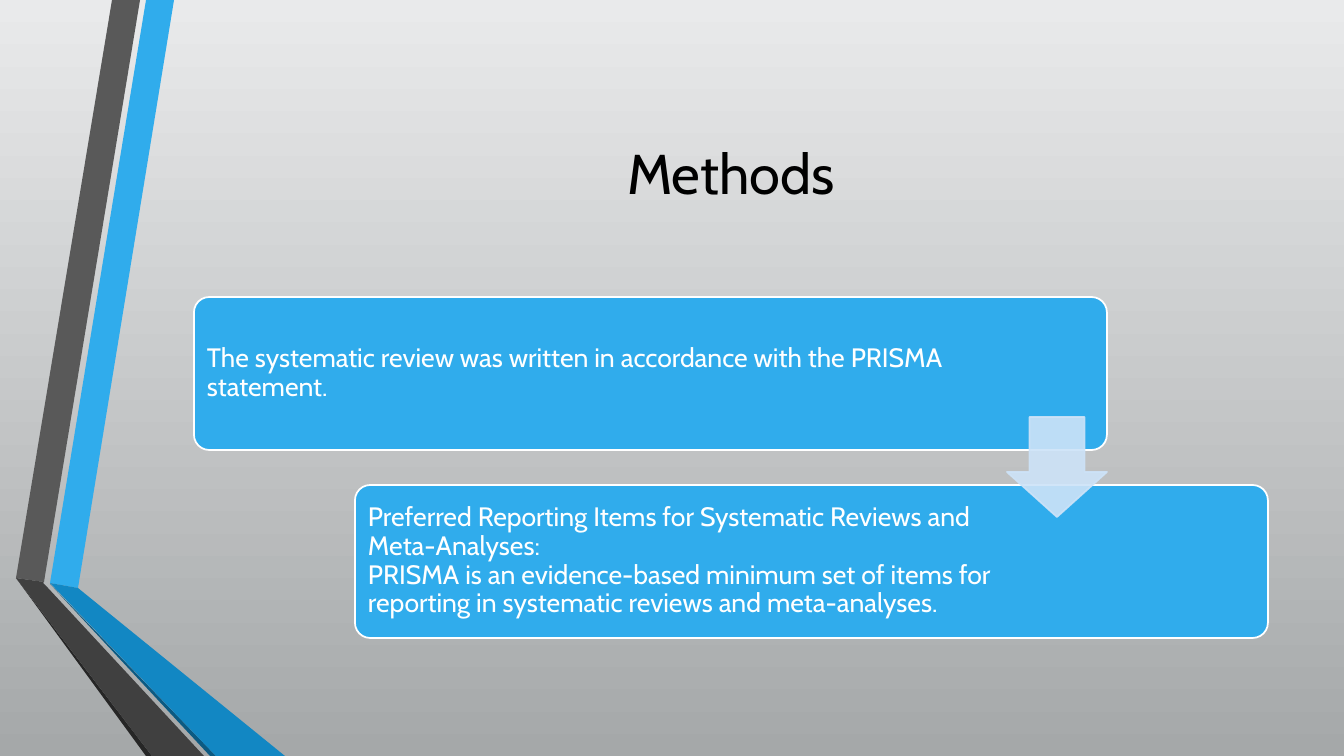
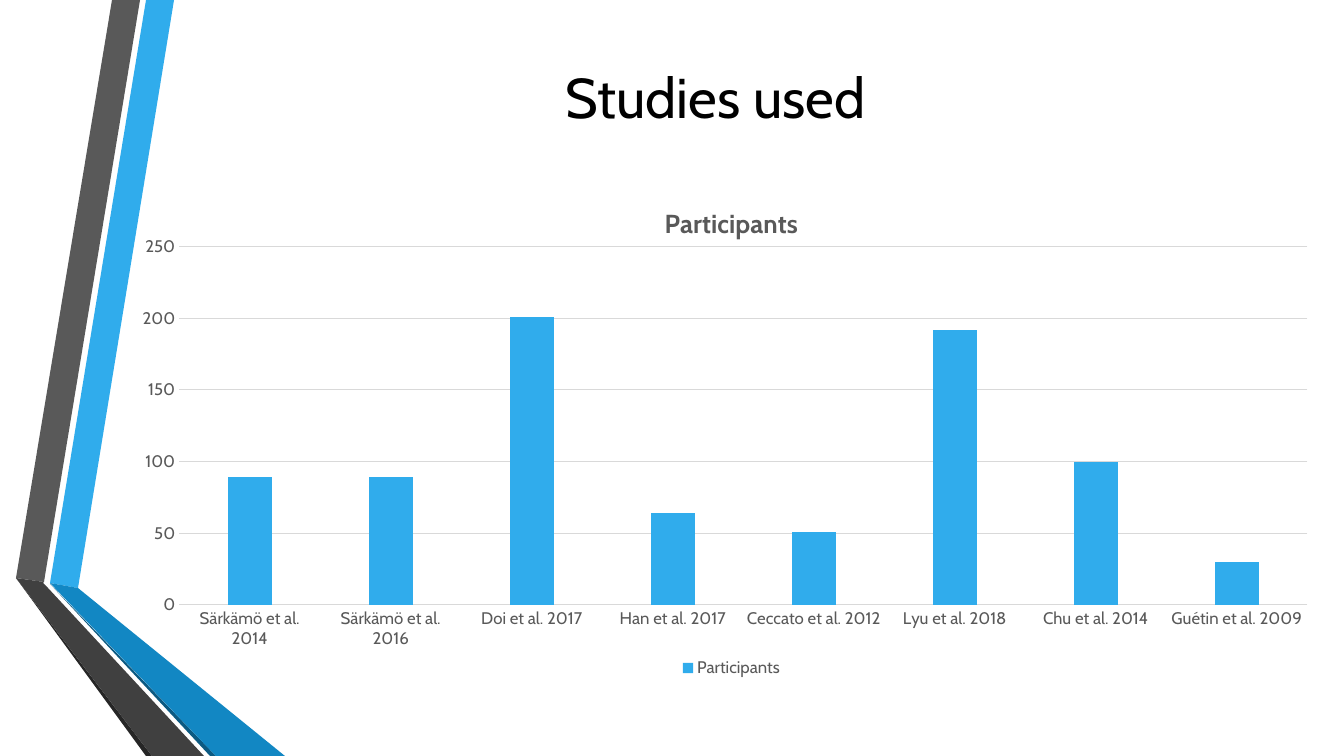
"""Build two slides on a systematic review: its methods and the studies used."""
from lxml import etree
from pptx import Presentation
from pptx.chart.data import CategoryChartData
from pptx.dml.color import RGBColor
from pptx.enum.chart import XL_CHART_TYPE, XL_LEGEND_POSITION, XL_TICK_MARK
from pptx.enum.shapes import MSO_SHAPE
from pptx.enum.text import MSO_ANCHOR, PP_ALIGN
from pptx.oxml import parse_xml
from pptx.oxml.ns import nsdecls, qn
from pptx.util import Emu, Pt

ROUNDED, DOWN_ARROW = MSO_SHAPE.ROUNDED_RECTANGLE, MSO_SHAPE.DOWN_ARROW
MIDDLE, CENTER, LEFT = MSO_ANCHOR.MIDDLE, PP_ALIGN.CENTER, PP_ALIGN.LEFT
COLUMNS, BOTTOM = XL_CHART_TYPE.COLUMN_CLUSTERED, XL_LEGEND_POSITION.BOTTOM
NO_TICKS = XL_TICK_MARK.NONE

PIXEL = 914400 / 100.8
FONT = "Cabin"
COLORS = {name: RGBColor.from_string(value) for name, value in {
    "black": "000000", "white": "FFFFFF", "blue": "30ACEC", "mid_blue": "1287C3",
    "navy": "0C5A82", "gray": "595959", "charcoal": "404040", "dark": "262626",
    "pale": "CDE3F8", "rule": "D9D9D9", "sky": "E9EAEB", "ground": "A5A8A9",
}.items()}


def px(*lengths):
    return [Emu(round(length * PIXEL)) for length in lengths]


def write(frame, text, size, color, align):
    frame.text = text
    frame.word_wrap = True
    frame.vertical_anchor = MIDDLE
    for paragraph in frame.paragraphs:
        paragraph.alignment = align
        for run in paragraph.runs:
            run.font.name = FONT
            run.font.size = Pt(size)
            run.font.color.rgb = COLORS[color]


prs = Presentation()
prs.slide_width, prs.slide_height = px(1344, 756)

slides = []
for heading, box in [("Methods", (194, 76, 1074, 193)), ("Studies used", (163, 0, 1105, 193))]:
    slide = prs.slides.add_slide(prs.slide_layouts[5])
    title = slide.shapes.title
    title.left, title.top, title.width, title.height = px(*box)
    write(title.text_frame, heading, 40, "black", CENTER)
    slides.append(slide)
methods, studies = slides

ribbons = [
    ("blue", [(50, 583), (78, 588), (174, 0), (146, 0)]),
    ("gray", [(140, 0), (112, 0), (16, 578), (44, 582)]),
    ("dark", [(16, 578), (146, 756), (152, 756)]),
    ("navy", [(50, 584), (210, 756), (216, 756)]),
    ("mid_blue", [(50, 583), (216, 756), (285, 756), (78, 588)]),
    ("charcoal", [(204, 756), (48, 588), (43, 583), (44, 582), (16, 578), (152, 756)]),
]
for ribbon_id, (color, corners) in enumerate(ribbons, start=20):
    outline = methods.shapes.build_freeform(*corners[0], scale=PIXEL)
    outline.add_line_segments(corners[1:], close=True)
    ribbon = outline.convert_to_shape()
    ribbon.shadow.inherit = False
    ribbon.fill.solid()
    ribbon.fill.fore_color.rgb = COLORS[color]
    ribbon.line.fill.background()
    ribbon.element.xpath(".//p:cNvPr")[0].set("id", str(ribbon_id))
    prs.slide_master.shapes.element.append(ribbon.element)

backdrop = methods.background.fill
backdrop.gradient()
backdrop.gradient_angle = 270
for stop, color, position in zip(backdrop.gradient_stops, ("sky", "ground"), (0, 1)):
    stop.color.rgb = COLORS[color]
    stop.position = position

steps = [
    (194, 297, 754, "The systematic review was written in accordance with the PRISMA statement."),
    (355, 485, 643, "Preferred Reporting Items for Systematic Reviews and Meta-Analyses:\v"
     "PRISMA is an evidence-based minimum set of items for reporting in systematic reviews "
     "and meta-analyses."),
]
for left, top, text_width, statement in steps:
    card = methods.shapes.add_shape(ROUNDED, *px(left, top, 913, 153))
    card.adjustments[0] = 0.1
    card.shadow.inherit = False
    card.fill.solid()
    card.fill.fore_color.rgb = COLORS["blue"]
    card.line.color.rgb = COLORS["white"]
    card.line.width = Pt(1.25)
    frame = methods.shapes.add_textbox(*px(left + 5, top + 4, text_width, 144)).text_frame
    write(frame, statement, 19, "white", LEFT)
    frame.paragraphs[0].line_spacing = 0.9
    frame.margin_left, frame.margin_top, frame.margin_right, frame.margin_bottom = px(8, 8, 8, 8)

arrow = methods.shapes.add_shape(DOWN_ARROW, *px(1007, 417, 100, 100))
arrow.adjustments[0], arrow.adjustments[1] = 0.55, 0.45
arrow.shadow.inherit = False
arrow.fill.solid()
arrow.fill.fore_color.rgb = COLORS["pale"]
arrow.line.color.rgb = COLORS["pale"]
arrow.line.width = Pt(1.25)
for tint in arrow.element.xpath("./p:spPr//a:srgbClr"):
    etree.SubElement(tint, qn("a:alpha")).set("val", "90000")

participants = {
    "Särkämö et al. 2014": 89, "Särkämö et al. 2016": 89, "Doi et al. 2017": 201,
    "Han et al. 2017": 64, "Ceccato et al. 2012": 51, "Lyu et al. 2018": 192,
    "Chu et al. 2014": 100, "Guétin et al. 2009": 30,
}
data = CategoryChartData()
data.categories = list(participants)
data.add_series("Participants", list(participants.values()))
chart = studies.shapes.add_chart(COLUMNS, *px(139, 185, 1185, 497), data).chart
chart.font.name = FONT
chart.font.size = Pt(12)
chart.font.color.rgb = COLORS["gray"]
chart.has_title = True
write(chart.chart_title.text_frame, "Participants", 18.6, "gray", CENTER)
chart.chart_title.include_in_layout = False
chart.has_legend = True
chart.legend.position = BOTTOM
chart.legend.include_in_layout = False

for axis in (chart.category_axis, chart.value_axis):
    axis.major_tick_mark = axis.minor_tick_mark = NO_TICKS
chart.value_axis.maximum_scale = 250
chart.value_axis.minimum_scale = 0
chart.value_axis.major_unit = 50
chart.value_axis.format.line.fill.background()
for rule in (chart.category_axis.format.line, chart.value_axis.major_gridlines.format.line):
    rule.color.rgb = COLORS["rule"]
    rule.width = Pt(0.75)

plot = chart.plots[0]
plot.gap_width, plot.overlap = 219, -27
plot.vary_by_categories = False
columns = plot.series[0].format.fill
columns.solid()
columns.fore_color.rgb = COLORS["blue"]

plot_area = chart.element.xpath("./c:chart/c:plotArea")[0]
for automatic in plot_area.xpath("./c:layout"):
    plot_area.remove(automatic)
plot_area.insert(0, parse_xml(
    f'<c:layout {nsdecls("c")}><c:manualLayout><c:layoutTarget val="inner"/>'
    '<c:xMode val="edge"/><c:yMode val="edge"/><c:x val="0.034"/><c:y val="0.124"/>'
    '<c:w val="0.952"/><c:h val="0.721"/></c:manualLayout></c:layout>'))

prs.save("out.pptx")
